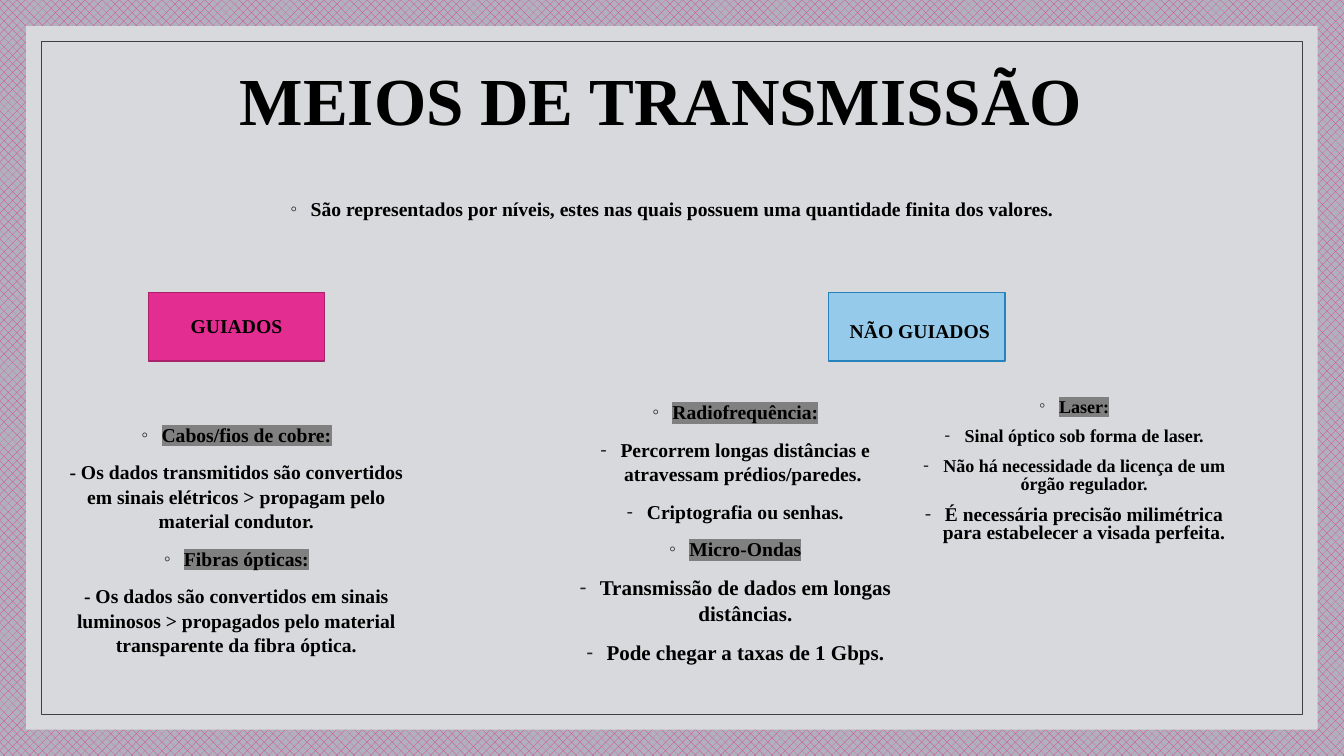
from dataclasses import dataclass

from lxml import etree
from pptx import Presentation
from pptx.dml.color import RGBColor
from pptx.enum.dml import MSO_PATTERN
from pptx.enum.shapes import MSO_SHAPE
from pptx.enum.text import MSO_ANCHOR, MSO_AUTO_SIZE, PP_ALIGN
from pptx.oxml.ns import qn
from pptx.util import Inches, Pt

RECTANGLE = MSO_SHAPE.RECTANGLE
PERCENT_40 = MSO_PATTERN.from_xml("pct40")
CENTER = PP_ALIGN.CENTER
TOP, MIDDLE = MSO_ANCHOR.TOP, MSO_ANCHOR.MIDDLE
NO_AUTOFIT = MSO_AUTO_SIZE.NONE

SLIDE_WIDTH, SLIDE_HEIGHT = Inches(13.33), Inches(7.5)
COMPARISON_LAYOUT = 4
BULLET_INDENT = Inches(0.2)


@dataclass(frozen=True)
class Theme:
    font: str = "Times New Roman"
    text: str = "000000"
    bullet: str = "262626"
    highlight: str = "808080"
    panel: str = "D8D9DC"
    frame: str = "404040"
    pink: str = "E32D91"
    pink_edge: str = "A8216B"
    blue: str = "95CAEA"
    blue_edge: str = "2582BB"
    pattern_back: str = "B1B1BD"
    title_size: float = 48
    body_size: float = 14
    large_size: float = 15
    laser_size: float = 12.9
    laser_large_size: float = 13.9


THEME = Theme()


@dataclass(frozen=True)
class Item:
    text: str
    bullet: str = ""
    size: float = THEME.body_size
    highlighted: bool = False


def heading(text, size=THEME.body_size):
    return Item(text, "◦", size, True)


def dash(text, size=THEME.body_size):
    return Item(text, "-", size)


def color(value):
    return RGBColor.from_string(value)


def area(left, top, width, height):
    """Turn percentages of the slide's size into lengths."""
    return (int(SLIDE_WIDTH * left / 100), int(SLIDE_HEIGHT * top / 100),
            int(SLIDE_WIDTH * width / 100), int(SLIDE_HEIGHT * height / 100))


def place(shape, box):
    shape.left, shape.top, shape.width, shape.height = area(*box)


def add_rectangle(slide, box, fill=None, line=None, line_width=1):
    shape = slide.shapes.add_shape(RECTANGLE, *area(*box))
    shape.shadow.inherit = False
    if fill:
        shape.fill.solid()
        shape.fill.fore_color.rgb = color(fill)
    else:
        shape.fill.background()
    if line:
        shape.line.color.rgb = color(line)
        shape.line.width = Pt(line_width)
    else:
        shape.line.fill.background()
    return shape


def prepare_frame(shape, anchor):
    frame = shape.text_frame
    frame.word_wrap = True
    frame.auto_size = NO_AUTOFIT
    frame.vertical_anchor = anchor
    return frame


def add_run(paragraph, text, size, highlighted=False):
    run = paragraph.add_run()
    run.text = text
    run.font.name = THEME.font
    run.font.size = Pt(size)
    run.font.bold = True
    run.font.color.rgb = color(THEME.text)
    if highlighted:
        # The highlight must follow the text fill
        mark = etree.Element(qn("a:highlight"))
        etree.SubElement(mark, qn("a:srgbClr"), val=THEME.highlight)
        run._r.get_or_add_rPr().find(qn("a:solidFill")).addnext(mark)


def set_bullet(paragraph, character):
    properties = paragraph._p.get_or_add_pPr()
    indent = BULLET_INDENT if character else 0
    properties.set("marL", str(int(indent)))
    properties.set("indent", str(int(-indent)))
    if character:
        bullet_color = etree.SubElement(properties, qn("a:buClr"))
        etree.SubElement(bullet_color, qn("a:srgbClr"), val=THEME.bullet)
        etree.SubElement(properties, qn("a:buChar"), char=character)
    else:
        etree.SubElement(properties, qn("a:buNone"))


def fill_line(shape, text, size):
    paragraph = prepare_frame(shape, MIDDLE).paragraphs[0]
    paragraph.alignment = CENTER
    paragraph.line_spacing = 0.9
    add_run(paragraph, text, size)


def fill_list(shape, box, items, line_spacing=1.05):
    place(shape, box)
    frame = prepare_frame(shape, TOP)
    for index, item in enumerate(items):
        paragraph = frame.add_paragraph() if index else frame.paragraphs[0]
        paragraph.alignment = CENTER
        paragraph.line_spacing = line_spacing
        paragraph.space_before = Pt(9)
        set_bullet(paragraph, item.bullet)
        add_run(paragraph, item.text, item.size, item.highlighted)


def add_frames(slide):
    """Put the panel and its thin frame behind the placeholders."""
    panel = add_rectangle(slide, (1.95, 3.47, 96.1, 93.06), fill=THEME.panel)
    frame = add_rectangle(slide, (3.07, 5.47, 93.86, 89.06),
                          line=THEME.frame, line_width=0.5)
    for position, shape in enumerate((panel, frame), start=2):
        shape.element.getparent().insert(position, shape.element)


def add_label(slide, text, left, fill, line, text_left, text_top):
    add_rectangle(slide, (left, 38.67, 13.13, 9.07), fill, line)
    box = slide.shapes.add_textbox(*area(text_left, text_top, 13.13, 7.6))
    fill_line(box, text, THEME.body_size)


def main():
    presentation = Presentation()
    presentation.slide_width, presentation.slide_height = SLIDE_WIDTH, SLIDE_HEIGHT
    slide = presentation.slides.add_slide(
        presentation.slide_layouts[COMPARISON_LAYOUT])

    # Background and frames
    background = slide.background.fill
    background.patterned()
    background.pattern = PERCENT_40
    background.fore_color.rgb = color(THEME.pink)
    background.back_color.rgb = color(THEME.pattern_back)
    add_frames(slide)

    # Title and introduction
    title, intro, guided, laser, radio = slide.placeholders
    place(title, (7.95, 3.73, 82.5, 20))
    fill_line(title, "MEIOS DE TRANSMISSÃO", THEME.title_size)
    fill_list(intro, (14.1, 25.2, 71.85, 9.07), [
        Item("São representados por níveis, estes nas quais possuem uma "
             "quantidade finita dos valores.", "◦")])

    # Labels of the two families
    add_label(slide, "GUIADOS", 11.03, THEME.pink, THEME.pink_edge, 11.03, 39.47)
    add_label(slide, "NÃO GUIADOS", 61.65, THEME.blue, THEME.blue_edge, 61.88, 40.13)

    # Lists
    fill_list(guided, (4.13, 55.07, 26.93, 37.87), [
        heading("Cabos/fios de cobre:"),
        Item("- Os dados transmitidos são convertidos em sinais elétricos > "
             "propagam pelo material condutor."),
        heading("Fibras ópticas:"),
        Item("- Os dados são convertidos em sinais luminosos > propagados "
             "pelo material transparente da fibra óptica.")])
    fill_list(radio, (41.25, 52.13, 26.93, 37.87), [
        heading("Radiofrequência:"),
        dash("Percorrem longas distâncias e atravessam prédios/paredes. "),
        dash("Criptografia ou senhas."),
        heading("Micro-Ondas"),
        dash("Transmissão de dados em longas distâncias.", THEME.large_size),
        dash("Pode chegar a taxas de 1 Gbps.", THEME.large_size)])
    fill_list(laser, (66.45, 52.13, 26.93, 22.27), [
        heading("Laser:", THEME.laser_size),
        dash("Sinal óptico sob forma de laser.", THEME.laser_size),
        dash("Não há necessidade da licença de um órgão regulador.",
             THEME.laser_size),
        dash("É necessária precisão milimétrica para estabelecer a visada "
             "perfeita.", THEME.laser_large_size)], line_spacing=0.8)

    presentation.save("out.pptx")


if __name__ == "__main__":
    main()
